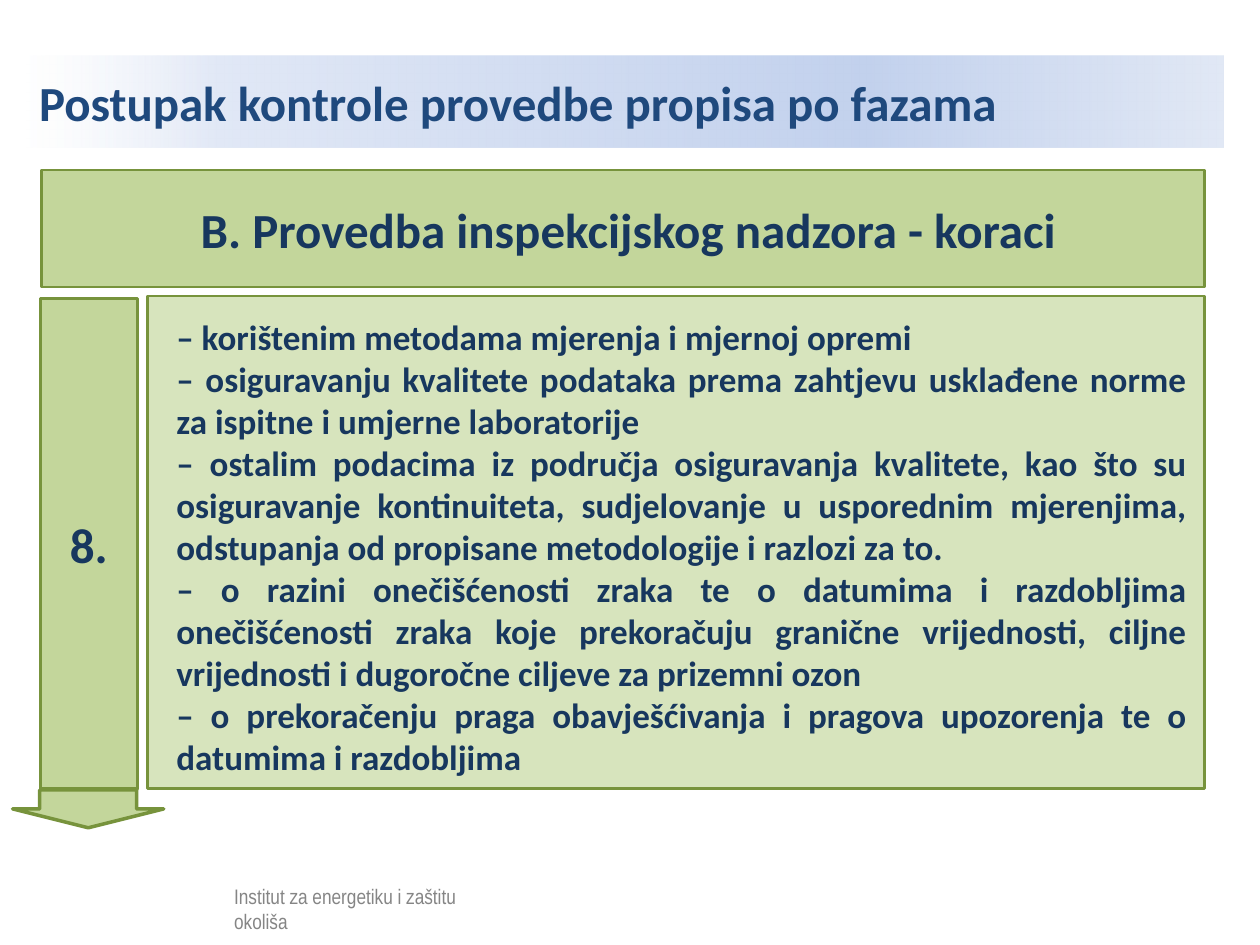
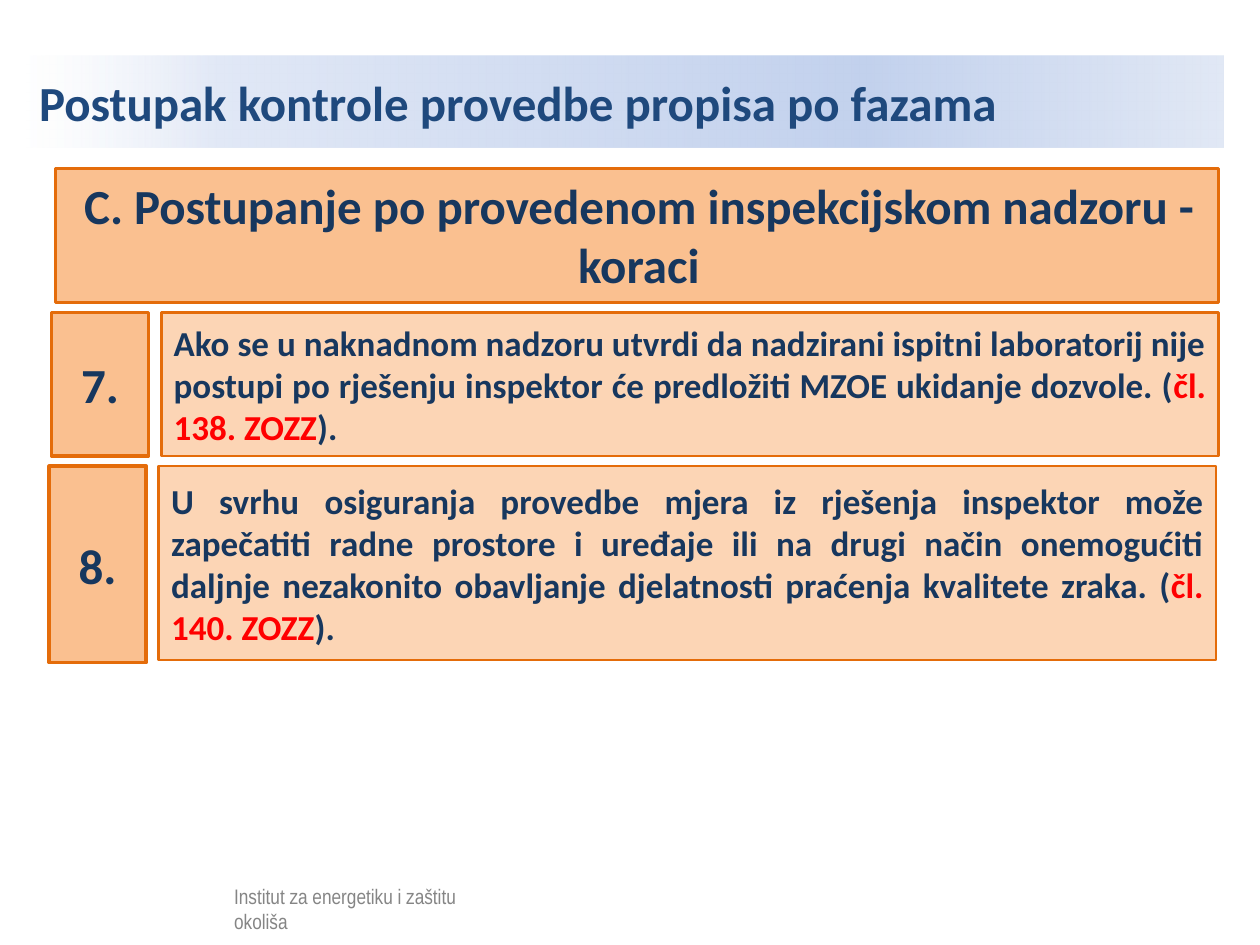
from dataclasses import dataclass

from lxml.etree import SubElement
from pptx import Presentation
from pptx.dml.color import RGBColor
from pptx.enum.shapes import MSO_SHAPE
from pptx.enum.text import MSO_ANCHOR, MSO_AUTO_SIZE, PP_ALIGN
from pptx.oxml.ns import qn
from pptx.util import Inches, Pt

# Content: a text is a list of paragraphs, a paragraph a list of (words, color name)
TITLE = "Postupak kontrole provedbe propisa po fazama"
FOOTER = "Institut za energetiku i zaštitu okoliša"

INSPECTION = {
    "palette": "green",
    "heading": " B. Provedba inspekcijskog nadzora - koraci",
    "band": (0.33, 1.35, 9.23, 0.93),
    "heading_box": (0.33, 1.53, 9.22, 0.57),
    "number": "8.",
    "number_box": (0.32, 2.37, 0.77, 3.89),
    "panel": (1.17, 2.35, 8.39, 3.91),
    "list_box": (1.3, 2.44, 8.22, 3.8),
    "arrow": (0.1, 6.27, 1.2, 0.3),
    "items": [
        "– korištenim metodama mjerenja i mjernoj opremi",
        "– osiguravanju kvalitete podataka prema zahtjevu usklađene norme za ispitne "
        "i umjerne laboratorije",
        "– ostalim podacima iz područja osiguravanja kvalitete, kao što su osiguravanje "
        "kontinuiteta, sudjelovanje u usporednim mjerenjima, odstupanja od propisane "
        "metodologije i razlozi za to.",
        "– o razini onečišćenosti zraka te o datumima i razdobljima onečišćenosti zraka "
        "koje prekoračuju granične vrijednosti, ciljne vrijednosti i dugoročne ciljeve "
        "za prizemni ozon",
        "– o prekoračenju praga obavješćivanja i pragova upozorenja te o datumima "
        "i razdobljima",
    ],
}

FOLLOW_UP = {
    "palette": "orange",
    "heading": "C. Postupanje po provedenom inspekcijskom nadzoru - koraci",
    "band": (0.44, 1.34, 9.23, 1.06),
    "heading_box": (0.46, 1.34, 9.22, 1.04),
    # number, left, top, number height, panel height, words, cited article
    "steps": [
        ("7.", 0.41, 2.48, 1.14, 1.14,
         "Ako se u naknadnom nadzoru utvrdi da nadzirani ispitni laboratorij nije "
         "postupi po rješenju inspektor će predložiti MZOE ukidanje dozvole. (",
         "čl. 138. ZOZZ"),
        ("8.", 0.39, 3.7, 1.56, 1.54,
         "U svrhu osiguranja provedbe mjera iz rješenja inspektor može zapečatiti radne "
         "prostore i uređaje ili na drugi način onemogućiti daljnje nezakonito "
         "obavljanje djelatnosti praćenja kvalitete zraka. (",
         "čl. 140. ZOZZ"),
    ],
}
NUMBER_WIDTH, PANEL_OFFSET, PANEL_WIDTH = 0.77, 0.87, 8.39


# Theme
@dataclass(frozen=True)
class Palette:
    strong: str
    light: str
    line: str


class Theme:
    font, footer_font = "Calibri", "Arial Narrow"
    large, body, small = 28, 20, 12
    thin, thick = 1.5, 2
    veil_opacity = 52
    colors = {"title": "1F497D", "text": "17375E", "cite": "FF0000",
              "footer": "000000", "veil": "FFFFFF"}
    palettes = {"green": Palette("C3D69B", "D7E4BD", "77933C"),
                "orange": Palette("FAC090", "FCD5B5", "E46C0A")}
    # position %, color, opacity %
    title_stops = [(0, "FFFFFF", 52), (16, "E1E8F6", 100),
                   (70, "C2D1ED", 100), (100, "E1E8F5", 100)]


TITLE_FORMAT = {"size": Theme.large, "color": "title", "align": PP_ALIGN.LEFT}
LARGE_FORMAT = {"size": Theme.large, "align": PP_ALIGN.CENTER}
BODY_FORMAT = {"size": Theme.body, "align": PP_ALIGN.JUSTIFY}
FOOTER_FORMAT = {"size": Theme.small, "color": "footer", "bold": False,
                 "font": Theme.footer_font, "align": PP_ALIGN.LEFT,
                 "anchor": MSO_ANCHOR.TOP}


# Helpers
def place(shape, box):
    for name, value in zip(("left", "top", "width", "height"), box):
        setattr(shape, name, Inches(value))


def set_opacity(color_element, percent):
    SubElement(color_element, qn("a:alpha"), val=str(percent * 1000))


def write(shape, paragraphs, size, align, color="text", bold=True,
          font=Theme.font, anchor=MSO_ANCHOR.MIDDLE):
    frame = shape.text_frame
    frame_format = {"word_wrap": True, "auto_size": MSO_AUTO_SIZE.NONE,
                    "vertical_anchor": anchor}
    for name, value in frame_format.items():
        setattr(frame, name, value)
    for index, runs in enumerate(paragraphs):
        paragraph = frame.add_paragraph() if index else frame.paragraphs[0]
        paragraph.alignment = align
        paragraph.space_before = Pt(0)
        for words, run_color in runs:
            run = paragraph.add_run()
            run.text = words
            for name, value in {"name": font, "size": Pt(size), "bold": bold}.items():
                setattr(run.font, name, value)
            run.font.color.rgb = RGBColor.from_string(Theme.colors[run_color or color])


def plain(*texts):
    return [[(text, None)] for text in texts]


def add_block(shapes, box, fill, line=None, width=Theme.thin, kind=MSO_SHAPE.RECTANGLE):
    shape = shapes.add_shape(kind, *map(Inches, box))
    shape.shadow.inherit = False
    shape.fill.solid()
    shape.fill.fore_color.rgb = RGBColor.from_string(fill)
    if line:
        shape.line.color.rgb = RGBColor.from_string(line)
        shape.line.width = Pt(width)
    else:
        shape.line.fill.background()
    return shape


def add_text(shapes, box, text, text_format):
    write(shapes.add_textbox(*map(Inches, box)), plain(text), **text_format)


def set_indent(paragraph, margin, indent):
    properties = paragraph._p.get_or_add_pPr()
    properties.set("marL", str(Inches(margin)))
    properties.set("indent", str(Inches(indent)))
    return properties


# Shared parts
def add_title(slide):
    title = slide.shapes.title
    place(title, (0.21, 0.44, 9.5, 0.73))
    title.fill.gradient()
    title.fill.gradient_angle = 0
    stops = next(title._element.iter(qn("a:gsLst")))
    for stop in list(stops):
        stops.remove(stop)
    for position, color, opacity in Theme.title_stops:
        stop = SubElement(stops, qn("a:gs"), pos=str(position * 1000))
        color_element = SubElement(stop, qn("a:srgbClr"), val=color)
        if opacity < 100:
            set_opacity(color_element, opacity)
    write(title, plain(TITLE), **TITLE_FORMAT)
    set_indent(title.text_frame.paragraphs[0], 0.98, -0.98)


def add_footer(slide):
    shapes = slide.shapes.add_group_shape().shapes
    add_text(shapes, (1.76, 6.96, 2.09, 0.25), FOOTER, FOOTER_FORMAT)
    veil = add_block(shapes, (0.41, 6.93, 3.82, 0.48), Theme.colors["veil"])
    set_opacity(next(veil._element.spPr.iter(qn("a:srgbClr"))), Theme.veil_opacity)


def add_heading(slide, content, palette):
    add_block(slide.shapes, content["band"], palette.strong, palette.line)
    add_text(slide.shapes, content["heading_box"], content["heading"], LARGE_FORMAT)


def add_number(slide, box, number, palette):
    block = add_block(slide.shapes, box, palette.strong, palette.line, Theme.thick)
    write(block, plain(number), **LARGE_FORMAT)


def start_slide(presentation, layout_index, content):
    slide = presentation.slides.add_slide(presentation.slide_layouts[layout_index])
    palette = Theme.palettes[content["palette"]]
    add_title(slide)
    add_footer(slide)
    add_heading(slide, content, palette)
    return slide, palette


# Slides
def build_inspection(presentation, content):
    slide, palette = start_slide(presentation, 1, content)
    add_block(slide.shapes, content["panel"], palette.light, palette.line)
    add_number(slide, content["number_box"], content["number"], palette)

    body = slide.placeholders[1]
    place(body, content["list_box"])
    write(body, plain(*content["items"]), **BODY_FORMAT)
    for paragraph in body.text_frame.paragraphs:
        SubElement(set_indent(paragraph, 0, 0), qn("a:buNone"))
    # Bring the list in front of its panel
    slide.shapes._spTree.append(body._element)

    arrow = add_block(slide.shapes, content["arrow"], palette.strong, palette.line,
                      Theme.thick, MSO_SHAPE.DOWN_ARROW)
    for index, value in enumerate((0.64, 0.5)):
        arrow.adjustments[index] = value


def build_follow_up(presentation, content):
    slide, palette = start_slide(presentation, 5, content)
    for number, left, top, number_height, panel_height, words, article in content["steps"]:
        add_number(slide, (left, top, NUMBER_WIDTH, number_height), number, palette)
        panel_box = (left + PANEL_OFFSET, top, PANEL_WIDTH, panel_height)
        panel = add_block(slide.shapes, panel_box, palette.light, palette.line)
        runs = [(words, None), (article, "cite"), (").", None)]
        write(panel, [runs], **BODY_FORMAT)


def main():
    presentation = Presentation()
    presentation.slide_width = Inches(10)
    presentation.slide_height = Inches(7.5)
    build_inspection(presentation, INSPECTION)
    build_follow_up(presentation, FOLLOW_UP)
    presentation.save("out.pptx")


if __name__ == "__main__":
    main()
